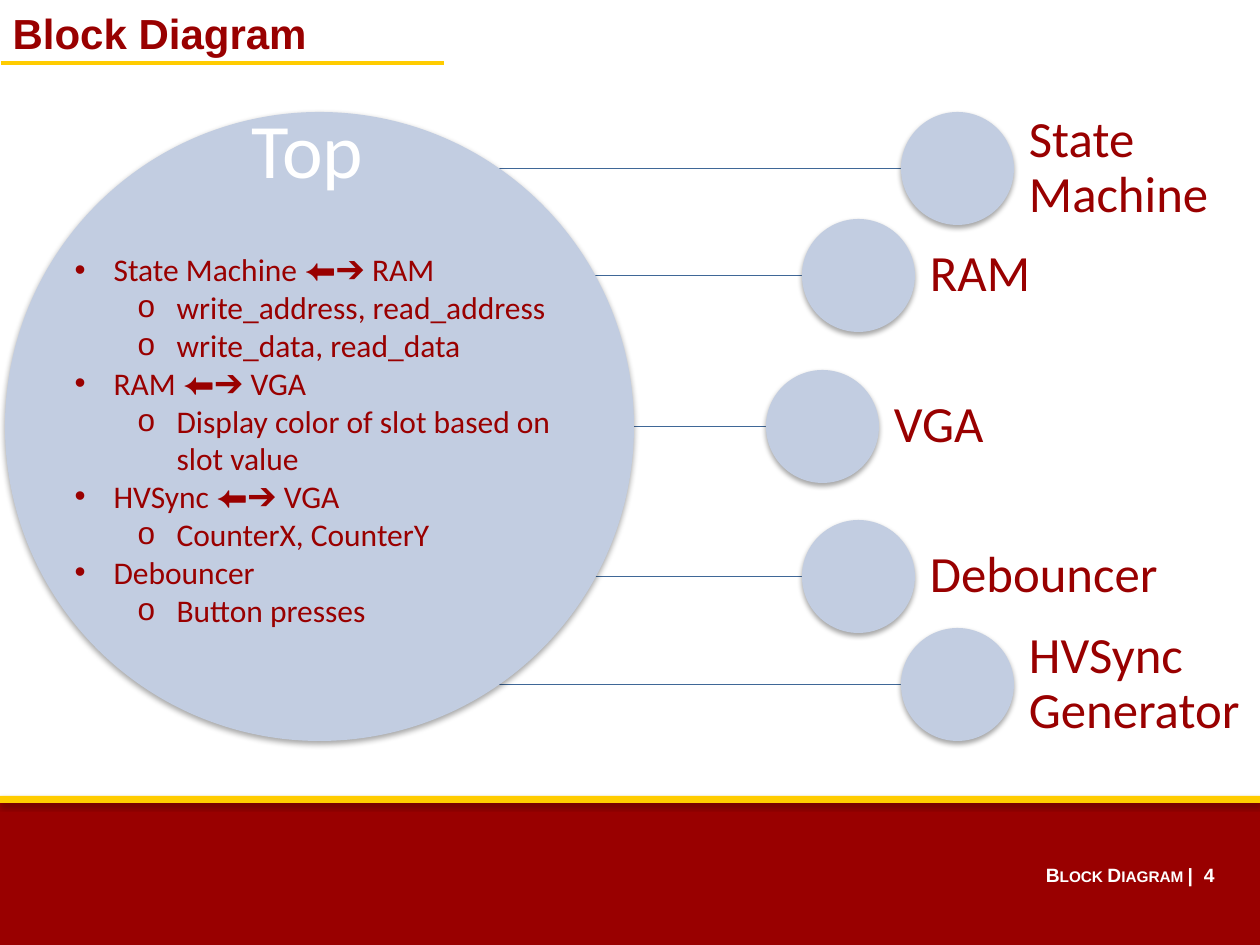
import lxml.etree
import pptx
import pptx.dml.color
import pptx.enum.shapes
import pptx.enum.text
import pptx.oxml.ns
import pptx.util

PX = pptx.util.Inches(1) / 126
RED, GOLD, BLUE, LINE, WHITE = "990000", "FFCC00", "C2CDE1", "3F6797", "FFFFFF"
SHAPE = pptx.enum.shapes.MSO_SHAPE
ALIGN = pptx.enum.text.PP_ALIGN
ANCHOR = pptx.enum.text.MSO_ANCHOR

# Block name, circle left and top, label width
BLOCKS = [
    ("State Machine", 901, 112, 214),
    ("RAM", 802, 219, 132),
    ("VGA", 766, 370, 125),
    ("Debouncer", 802, 520, 260),
    ("HVSync Generator", 901, 628, 242),
]
# Level and text
SIGNALS = [
    (0, "State Machine ⬅➔ RAM"),
    (1, "write_address, read_address"),
    (1, "write_data, read_data"),
    (0, "RAM ⬅➔ VGA"),
    (1, "Display color of slot based on slot value"),
    (0, "HVSync ⬅➔ VGA"),
    (1, "CounterX, CounterY"),
    (0, "Debouncer"),
    (1, "Button presses"),
]
ARROWS = "⬅➔"


def px(n):
    return pptx.util.Emu(round(n * PX))


def rgb(value):
    return pptx.dml.color.RGBColor.from_string(value)


def add_xml(parent, tag, **attrs):
    child = lxml.etree.SubElement(parent, pptx.oxml.ns.qn(tag))
    for name, value in attrs.items():
        child.set(name, str(value))
    return child


def place(sp, x, y, w, h):
    sp.left, sp.top, sp.width, sp.height = px(x), px(y), px(w), px(h)


def style(r, size, color, font="Calibri", bold=False):
    r.font.size, r.font.name, r.font.bold = pptx.util.Pt(size), font, bold
    r.font.color.rgb = rgb(color)


def add_shape(slide, kind, x, y, w, h, color, blur=3.1, dist=1.8, alpha=35):
    """Add a filled shape without outline that casts a soft shadow downwards."""
    sp = slide.shapes.add_shape(kind, px(x), px(y), px(w), px(h))
    sp.fill.solid()
    sp.fill.fore_color.rgb = rgb(color)
    sp.line.fill.background()
    sp.shadow.inherit = False
    effects = sp._element.spPr.find(pptx.oxml.ns.qn("a:effectLst"))
    shadow = add_xml(effects, "a:outerShdw", blurRad=pptx.util.Pt(blur),
                     dist=pptx.util.Pt(dist), dir=5400000, rotWithShape=0)
    add_xml(add_xml(shadow, "a:srgbClr", val="000000"), "a:alpha", val=alpha * 1000)
    return sp


def add_line(slide, x1, y1, x2, y2, color, width):
    line = slide.shapes.add_connector(
        pptx.enum.shapes.MSO_CONNECTOR.STRAIGHT, px(x1), px(y1), px(x2), px(y2))
    line.line.color.rgb = rgb(color)
    line.line.width = pptx.util.Pt(width)
    add_xml(line._element.spPr, "a:effectLst")


def add_label(slide, x, y, w, h, text, size, color, anchor, align, margin):
    sp = slide.shapes.add_textbox(px(x), px(y), px(w), px(h))
    tf = sp.text_frame
    tf.word_wrap, tf.vertical_anchor = True, anchor
    tf.margin_left = tf.margin_right = px(margin)
    tf.margin_top = tf.margin_bottom = 0
    tf.text = text
    p = tf.paragraphs[0]
    p.alignment, p.line_spacing = align, 0.9
    style(p.runs[0], size, color)


def add_title(slide, x, y, w, h):
    sp = slide.shapes.title
    place(sp, x, y, w, h)
    tf = sp.text_frame
    tf.auto_size = pptx.enum.text.MSO_AUTO_SIZE.NONE
    tf.vertical_anchor = ANCHOR.MIDDLE
    tf.text = "Block Diagram"
    tf.paragraphs[0].alignment = ALIGN.LEFT
    style(tf.paragraphs[0].runs[0], 24, RED, "Arial", True)
    add_line(slide, x + 1, y + 62, x + 444, y + 62, GOLD, 2)


def add_footer(slide, x, y, w, h):
    add_shape(slide, SHAPE.RECTANGLE, x, y + 4, w, h - 4, RED)
    add_shape(slide, SHAPE.RECTANGLE, x, y, w, 7, GOLD, dist=1.6, alpha=38)
    sp = slide.shapes.add_textbox(px(x + w - 257), px(y + 61), px(224), px(44))
    sp.text_frame.word_wrap = True
    p = sp.text_frame.paragraphs[0]
    p.alignment = ALIGN.RIGHT
    for text, caps in (("Block Diagram ", "small"), ("|  4", "none")):
        r = p.add_run()
        r.text = text
        style(r, 11, WHITE, "Arial", True)
        r._r.get_or_add_rPr().set("cap", caps)


def add_diagram(slide, x, y, size):
    """Draw the top module as a large circle linked to its blocks."""
    small = 113
    for _, left, top, _ in BLOCKS:
        mid = top + small / 2
        add_line(slide, x + size / 2, mid, left + small / 2, mid, LINE, 0.75)
    add_shape(slide, SHAPE.OVAL, x, y, size, size, BLUE)
    add_label(slide, x + 101, y - 4, 403, 87, "Top", 44, WHITE,
              ANCHOR.BOTTOM, ALIGN.CENTER, 0)
    for name, left, top, width in BLOCKS:
        add_shape(slide, SHAPE.OVAL, left, top, small, small, BLUE)
        add_label(slide, left + small, top, width, small, name, 29, RED,
                  ANCHOR.MIDDLE, ALIGN.LEFT, 15)


def add_signals(slide, x, y, w, h):
    sp = slide.placeholders[1]
    place(sp, x, y, w, h)
    slide.shapes._spTree.append(sp._element)  # in front of the large circle
    tf = sp.text_frame
    tf.auto_size = pptx.enum.text.MSO_AUTO_SIZE.NONE
    for i, (level, text) in enumerate(SIGNALS):
        p = tf.paragraphs[0] if i == 0 else tf.add_paragraph()
        p.level = level
        p.space_before = pptx.util.Pt(0)
        before, arrows, after = text.partition(ARROWS)
        for part in filter(None, (before, arrows, after)):
            r = p.add_run()
            r.text = part
            style(r, 18, RED, "Arial" if part == ARROWS else "Calibri")
        pPr = p._p.get_or_add_pPr()
        pPr.set("marL", str(px(39 + 63 * level)))
        pPr.set("indent", str(-px(39)))
        add_xml(pPr, "a:buFont", typeface="Arial")
        add_xml(pPr, "a:buChar", char="•o"[level])


def main():
    prs = pptx.Presentation()
    prs.slide_width, prs.slide_height = px(1260), px(945)
    slide = prs.slides.add_slide(prs.slide_layouts[1])
    add_footer(slide, 0, 796, 1260, 149)
    add_title(slide, 0, 1, 1019, 63)
    add_diagram(slide, 5, 112, 629)
    add_signals(slide, 62, 244, 534, 432)
    prs.save("out.pptx")


if __name__ == "__main__":
    main()
